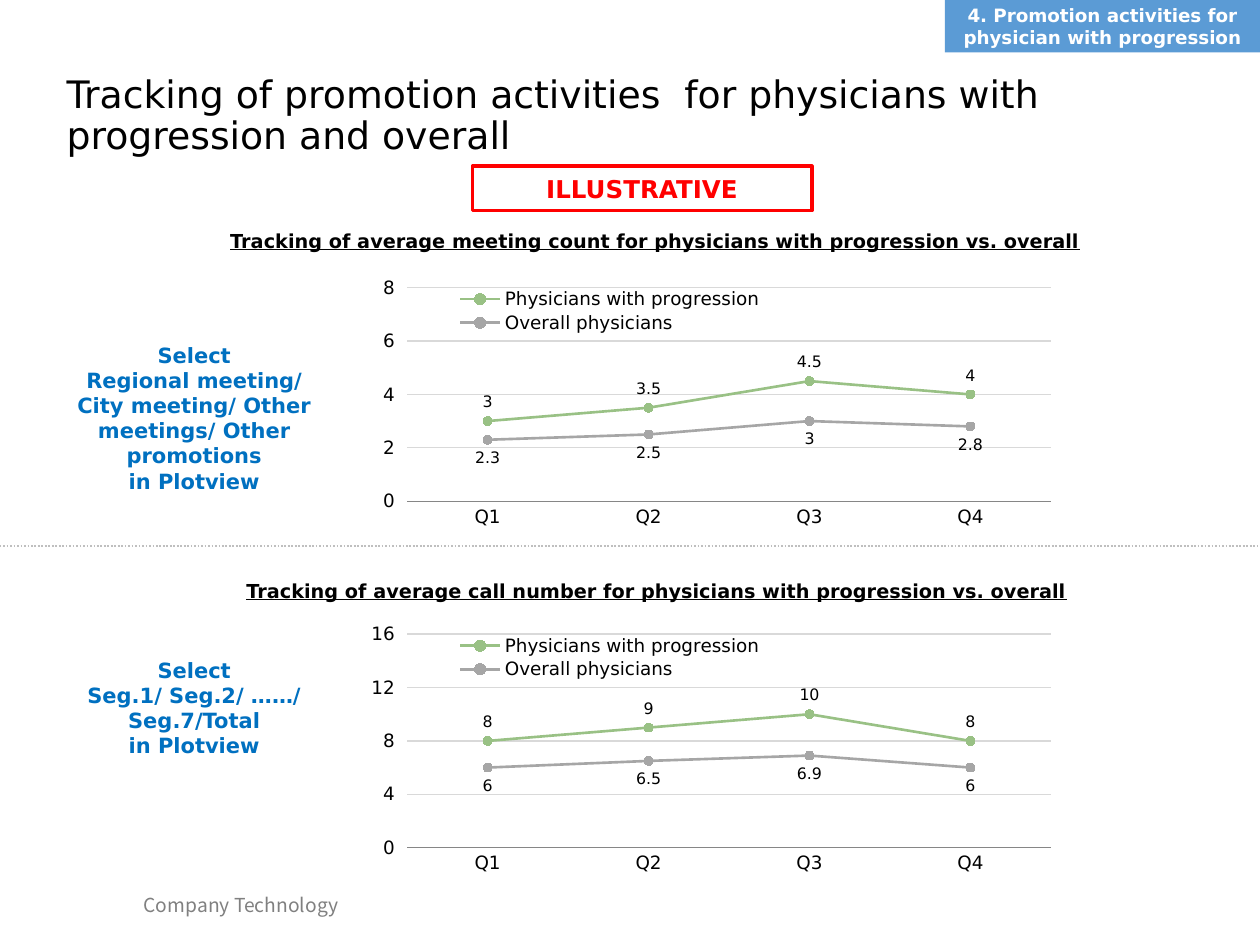
from lxml import etree
from pptx import Presentation
from pptx.chart.data import CategoryChartData
from pptx.dml.color import RGBColor
from pptx.enum.chart import (XL_CHART_TYPE, XL_LABEL_POSITION, XL_LEGEND_POSITION,
                             XL_MARKER_STYLE, XL_TICK_MARK)
from pptx.enum.dml import MSO_LINE
from pptx.enum.shapes import MSO_CONNECTOR, MSO_SHAPE
from pptx.enum.text import MSO_ANCHOR, MSO_AUTO_SIZE, PP_ALIGN
from pptx.oxml import parse_xml
from pptx.oxml.ns import nsdecls, qn
from pptx.util import Inches, Pt

LEFT, CENTER = PP_ALIGN.LEFT, PP_ALIGN.CENTER
TOP, MIDDLE = MSO_ANCHOR.TOP, MSO_ANCHOR.MIDDLE
ABOVE, BELOW = XL_LABEL_POSITION.ABOVE, XL_LABEL_POSITION.BELOW
NO_TICK, OUTSIDE = XL_TICK_MARK.NONE, XL_TICK_MARK.OUTSIDE

BLACK = RGBColor(0, 0, 0)
WHITE = RGBColor(0xFF, 0xFF, 0xFF)
RED = RGBColor(0xFF, 0, 0)
BLUE = RGBColor(0, 0x70, 0xC0)
TAG_BLUE = RGBColor(0x5B, 0x9B, 0xD5)
GREEN = RGBColor(0x99, 0xC1, 0x85)
GRAY = RGBColor(0xA6, 0xA6, 0xA6)
FOOTER_GRAY = RGBColor(0x80, 0x80, 0x80)
DIVIDER_GRAY = RGBColor(0xBF, 0xBF, 0xBF)
GRID_GRAY = RGBColor(0xD9, 0xD9, 0xD9)
AXIS_GRAY = RGBColor(0x86, 0x86, 0x86)
FONT = "DejaVu Sans"

deck = Presentation()
deck.slide_width, deck.slide_height = Inches(10), Inches(7.5)
page = deck.slides.add_slide(deck.slide_layouts[5])
UNIT = deck.slide_width / 24  # square grid of 24 columns by 18 rows


def area(column, row, columns, rows):
    return [round(count * UNIT) for count in (column, row, columns, rows)]


def write(box, text, size, color, bold=True, underline=False, align=CENTER,
          anchor=TOP, font=FONT):
    frame = box.text_frame
    frame.text = text
    frame.word_wrap = True
    frame.auto_size = MSO_AUTO_SIZE.NONE
    frame.vertical_anchor = anchor
    for para in frame.paragraphs:
        para.alignment = align
        for span in para.runs:
            span.font.name, span.font.size = font, Pt(size)
            span.font.bold, span.font.underline = bold, underline
            span.font.color.rgb = color


# Title
title = page.shapes.title
title.left, title.top, title.width, title.height = area(1.03, 1.27, 21.77, 1.92)
write(title, "Tracking of promotion activities  for physicians with progression and overall",
      21.6, BLACK, bold=False, align=LEFT, anchor=MIDDLE)
title.text_frame.paragraphs[0].line_spacing = 0.9

# Footer
footer = page.shapes.add_textbox(*area(2.5, 16.9, 5.64, 0.7))
write(footer, "Company Technology", 11, FOOTER_GRAY, bold=False, align=LEFT,
      font="Noto Sans CJK SC")

# Section tag in the corner
tag = page.shapes.add_shape(MSO_SHAPE.RECTANGLE, *area(18, 0, 6, 1))
tag.shadow.inherit = False
tag.fill.solid()
tag.fill.fore_color.rgb = TAG_BLUE
tag.line.fill.background()
write(tag, "4. Promotion activities for physician with progression", 10.5, WHITE,
      anchor=MIDDLE)

# Illustrative stamp
stamp = page.shapes.add_shape(MSO_SHAPE.RECTANGLE, *area(9, 3.17, 6.46, 0.84))
stamp.shadow.inherit = False
stamp.fill.solid()
stamp.fill.fore_color.rgb = WHITE
fill_color = stamp.fill._xPr.find(qn("a:solidFill"))[0]
etree.SubElement(fill_color, qn("a:alpha")).set("val", "82000")
stamp.line.color.rgb = RED
stamp.line.width = Pt(2.25)
write(stamp, "ILLUSTRATIVE", 14, RED)
stamp.text_frame.margin_top = stamp.text_frame.margin_bottom = Inches(0.06)

# Dotted divider between the two halves
start_x, y, end_x, _ = area(-0.6, 10.4, 24.4, 0)
divider = page.shapes.add_connector(MSO_CONNECTOR.STRAIGHT, start_x, y, end_x, y)
divider.line.color.rgb = DIVIDER_GRAY
divider.line.width = Pt(1)
divider.line.dash_style = MSO_LINE.ROUND_DOT
etree.SubElement(divider._element.spPr, qn("a:effectLst"))

# Each half: heading, heading area, note, note area, chart row, axis step, values
halves = [
    ("Tracking of average meeting count for physicians with progression vs. overall",
     (3.96, 4.25, 17.04, 0.7),
     "Select\nRegional meeting/ City meeting/ Other meetings/ Other promotions\nin Plotview",
     (1.2, 6.4, 5, 3.14), 5.2, 2, (3, 3.5, 4.5, 4), (2.3, 2.5, 3, 2.8)),
    ("Tracking of average call number for physicians with progression vs. overall",
     (4.2, 10.92, 16.61, 0.7),
     "Select\nSeg.1/ Seg.2/ ……/ Seg.7/Total\nin Plotview",
     (1.2, 12.4, 5, 2.18), 11.8, 4, (8, 9, 10, 8), (6, 6.5, 6.9, 6)),
]
LAYOUT = ('<c:layout %s><c:manualLayout>%s<c:xMode val="edge"/><c:yMode val="edge"/>'
          '<c:x val="%s"/><c:y val="%s"/><c:w val="%s"/><c:h val="%s"/>'
          '</c:manualLayout></c:layout>')
INNER = '<c:layoutTarget val="inner"/>'

for heading, heading_area, note, note_area, row, step, progression, overall in halves:
    write(page.shapes.add_textbox(*area(*heading_area)), heading, 11, BLACK, underline=True)
    write(page.shapes.add_textbox(*area(*note_area)), note, 12, BLUE)

    data = CategoryChartData()
    data.categories = ["Q1", "Q2", "Q3", "Q4"]
    data.add_series("Physicians with progression", progression)
    data.add_series("Overall physicians", overall)
    chart = page.shapes.add_chart(XL_CHART_TYPE.LINE_MARKERS, *area(7, row, 14, 5), data).chart
    chart.has_title = False
    chart.font.name, chart.font.size = FONT, Pt(10.5)
    chart.font.color.rgb = BLACK

    # Axes
    chart.category_axis.major_tick_mark = NO_TICK
    chart.category_axis.format.line.color.rgb = AXIS_GRAY
    scale = chart.value_axis
    scale.minimum_scale, scale.maximum_scale, scale.major_unit = 0, 4 * step, step
    scale.major_tick_mark = OUTSIDE
    scale.format.line.fill.background()
    scale.major_gridlines.format.line.color.rgb = GRID_GRAY
    scale.major_gridlines.format.line.width = Pt(0.75)

    # Legend over the plot, at its upper left
    chart.has_legend = True
    chart.legend.position = XL_LEGEND_POSITION.RIGHT
    chart.legend.include_in_layout = False
    legend = chart.legend._element
    plot_area = chart._chartSpace.chart.plotArea
    for parent in (legend, plot_area):
        for old in parent.findall(qn("c:layout")):
            parent.remove(old)
    legend.find(qn("c:legendPos")).addnext(
        parse_xml(LAYOUT % (nsdecls("c"), "", 0.11, 0.05, 0.44, 0.19)))
    legend.find(qn("c:overlay")).set("val", "1")
    plot_area.insert(0, parse_xml(LAYOUT % (nsdecls("c"), INNER, 0.054, 0.056, 0.876, 0.814)))

    # Series
    plot = chart.plots[0]
    plot.vary_by_categories = False
    for series, color, position in zip(plot.series, (GREEN, GRAY), (ABOVE, BELOW)):
        series.smooth = False
        series.format.line.color.rgb = color
        series.format.line.width = Pt(1.5)
        series.marker.style = XL_MARKER_STYLE.CIRCLE
        series.marker.size = 5
        series.marker.format.fill.solid()
        series.marker.format.fill.fore_color.rgb = color
        series.marker.format.line.color.rgb = color
        labels = series.data_labels
        labels.show_value = True
        labels.position = position
        labels.font.name, labels.font.size = FONT, Pt(9)
        labels.font.color.rgb = BLACK

deck.save("out.pptx")
